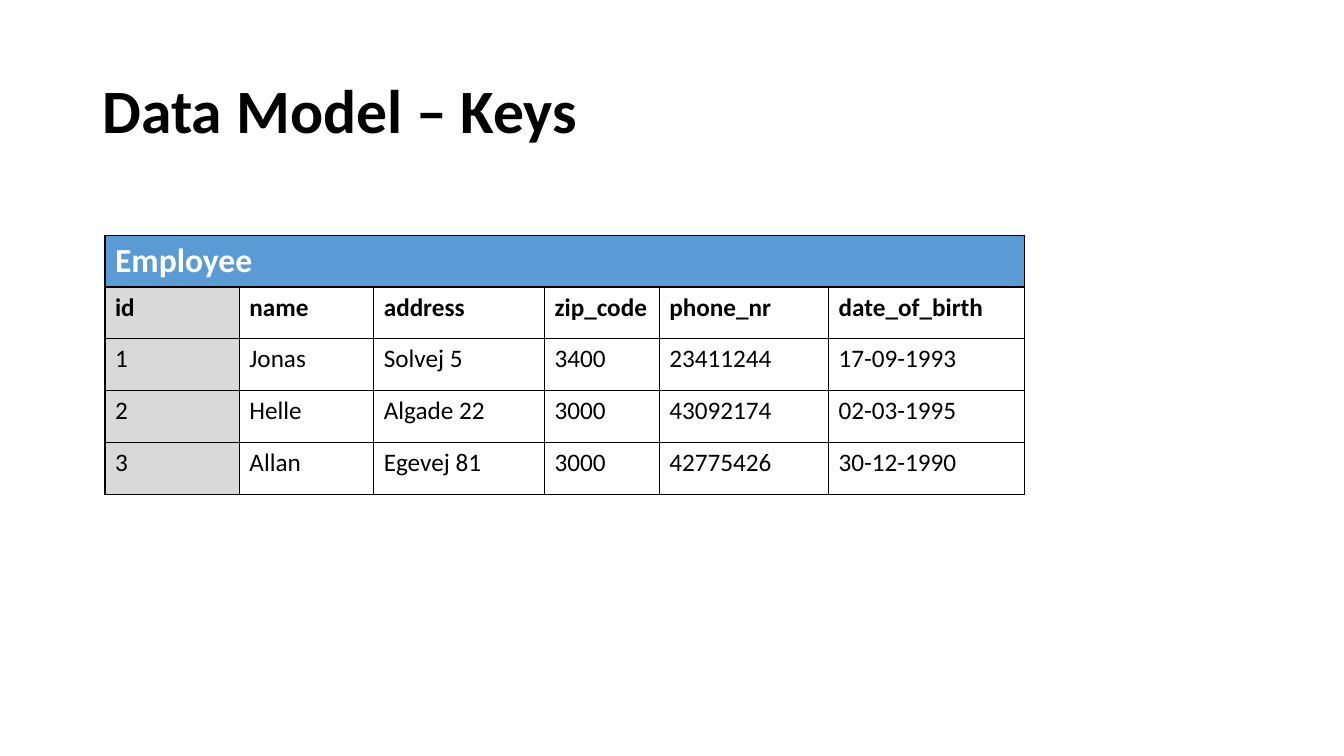
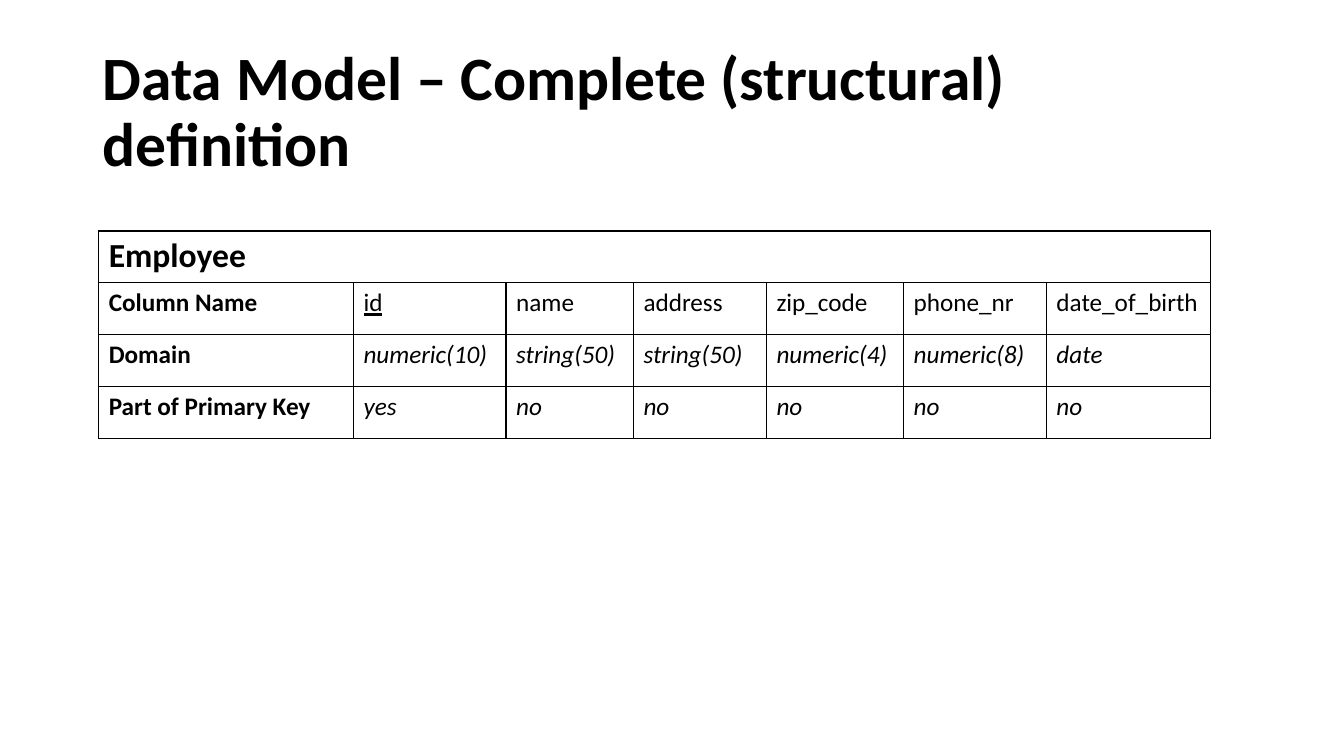
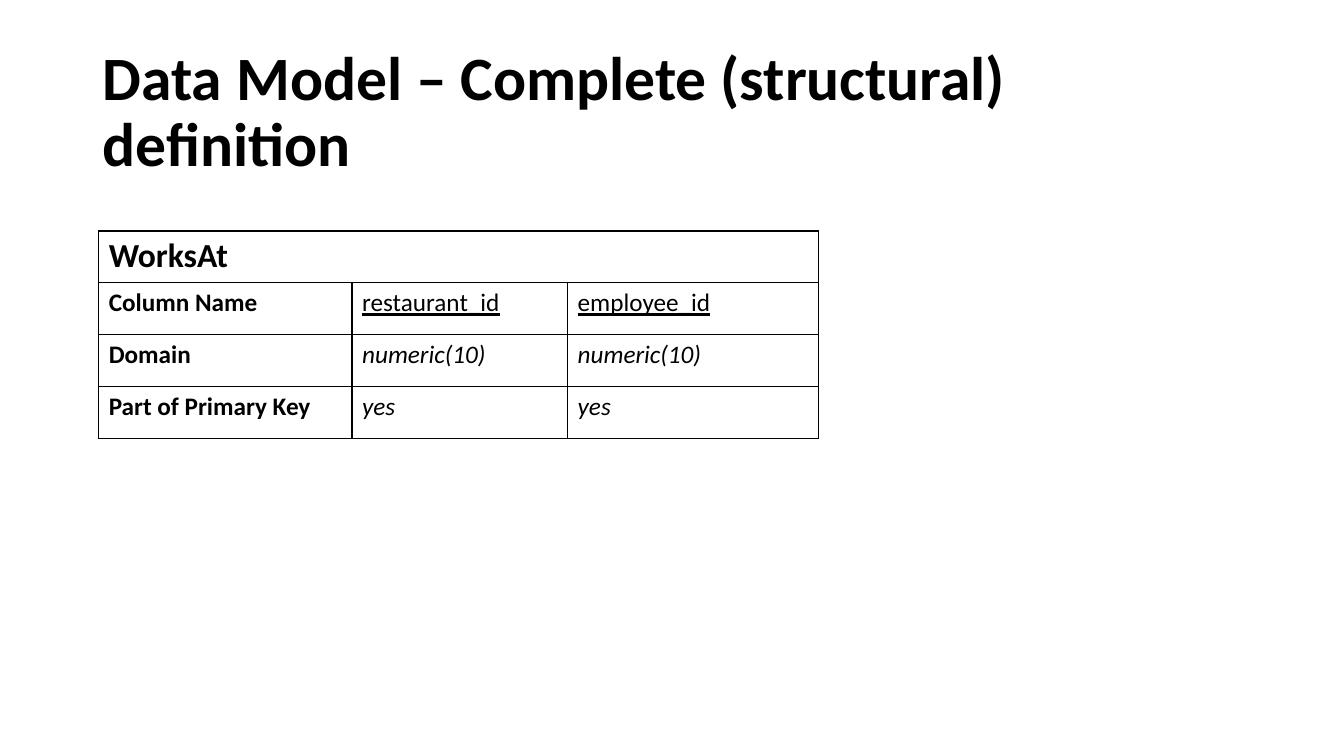
from lxml import etree
from pptx import Presentation
from pptx.dml.color import RGBColor
from pptx.enum import text
from pptx.oxml import ns
from pptx.util import Pt

BLACK = RGBColor(0x00, 0x00, 0x00)
WHITE = RGBColor(0xFF, 0xFF, 0xFF)
BLUE = RGBColor(0x5B, 0x9B, 0xD5)
GREY = RGBColor(0xD9, 0xD9, 0xD9)
FONT = "Calibri"
ROW_HEIGHT = 37
DEFINITION_TITLE = "Data Model – Complete (structural) definition"

# Content: title, kind of table, left, top, column widths, table name, rows
slides = [
    ("Data Model – Keys", "data", 75, 168, [96, 96, 122, 82, 121, 140], "Employee", [
        ["id", "name", "address", "zip_code", "phone_nr", "date_of_birth"],
        ["1", "Jonas", "Solvej 5", "3400", "23411244", "17-09-1993"],
        ["2", "Helle", "Algade 22", "3000", "43092174", "02-03-1995"],
        ["3", "Allan", "Egevej 81", "3000", "42775426", "30-12-1990"],
    ]),
    (DEFINITION_TITLE, "definition", 70.5, 165, [182, 109, 91, 95, 98, 102, 117.5], "Employee", [
        ["Column Name", "id", "name", "address", "zip_code", "phone_nr", "date_of_birth"],
        ["Domain", "numeric(10)", "string(50)", "string(50)", "numeric(4)", "numeric(8)", "date"],
        ["Part of Primary Key", "yes", "no", "no", "no", "no", "no"],
    ]),
    (DEFINITION_TITLE, "definition", 70.5, 165, [181, 154, 179], "WorksAt", [
        ["Column Name", "restaurant_id", "employee_id"],
        ["Domain", "numeric(10)", "numeric(10)"],
        ["Part of Primary Key", "yes", "yes"],
    ]),
]


def add_run(paragraph, words, size, color, bold=False):
    run = paragraph.add_run()
    run.text = words
    run.font.name = FONT
    run.font.size = Pt(size)
    run.font.color.rgb = color
    run.font.bold = bold
    return run


def add_borders(cell):
    properties = cell._tc.get_or_add_tcPr()
    for side in ("a:lnL", "a:lnR", "a:lnT", "a:lnB"):
        line = etree.SubElement(properties, ns.qn(side), w=str(Pt(1)))
        solid = etree.SubElement(line, ns.qn("a:solidFill"))
        etree.SubElement(solid, ns.qn("a:srgbClr"), val=str(BLACK))


prs = Presentation()
prs.slide_width, prs.slide_height = Pt(960), Pt(540)

for heading, kind, left, top, widths, table_name, rows in slides:
    slide = prs.slides.add_slide(prs.slide_layouts[5])

    # Title
    title = slide.shapes.title
    title.left, title.top, title.width, title.height = Pt(66), Pt(29), Pt(828), Pt(104)
    title.text_frame.auto_size = text.MSO_AUTO_SIZE.NONE
    title.text_frame.vertical_anchor = text.MSO_ANCHOR.MIDDLE
    title_line = title.text_frame.paragraphs[0]
    title_line.alignment = text.PP_ALIGN.LEFT
    title_line.line_spacing = 0.9
    add_run(title_line, heading, 44, BLACK, bold=True)

    # Table grid
    row_count = len(rows) + 1
    table = slide.shapes.add_table(
        row_count, len(widths), Pt(left), Pt(top),
        Pt(sum(widths)), Pt(ROW_HEIGHT * row_count)).table
    table.first_row = table.horz_banding = False
    for column, width in zip(table.columns, widths):
        column.width = Pt(width)
    for row in table.rows:
        row.height = Pt(ROW_HEIGHT)
    for cell in table.iter_cells():
        add_borders(cell)
        cell.fill.background()

    # Table name across all columns
    is_data = kind == "data"
    name_cell = table.cell(0, 0)
    name_cell.merge(table.cell(0, len(widths) - 1))
    if is_data:
        name_cell.fill.solid()
        name_cell.fill.fore_color.rgb = BLUE
    add_run(name_cell.text_frame.paragraphs[0], table_name, 24,
            WHITE if is_data else BLACK, bold=True)

    # Labels and values
    for r, values in enumerate(rows):
        for c, value in enumerate(values):
            cell = table.cell(r + 1, c)
            is_label = r == 0 if is_data else c == 0
            run = add_run(cell.text_frame.paragraphs[0], value, 18, BLACK, bold=is_label)
            if is_data and c == 0:
                cell.fill.solid()
                cell.fill.fore_color.rgb = GREY
            if not is_data and not is_label:
                run.font.italic = r > 0
                run.font.underline = r == 0 and rows[-1][c] == "yes"

prs.save("out.pptx")
